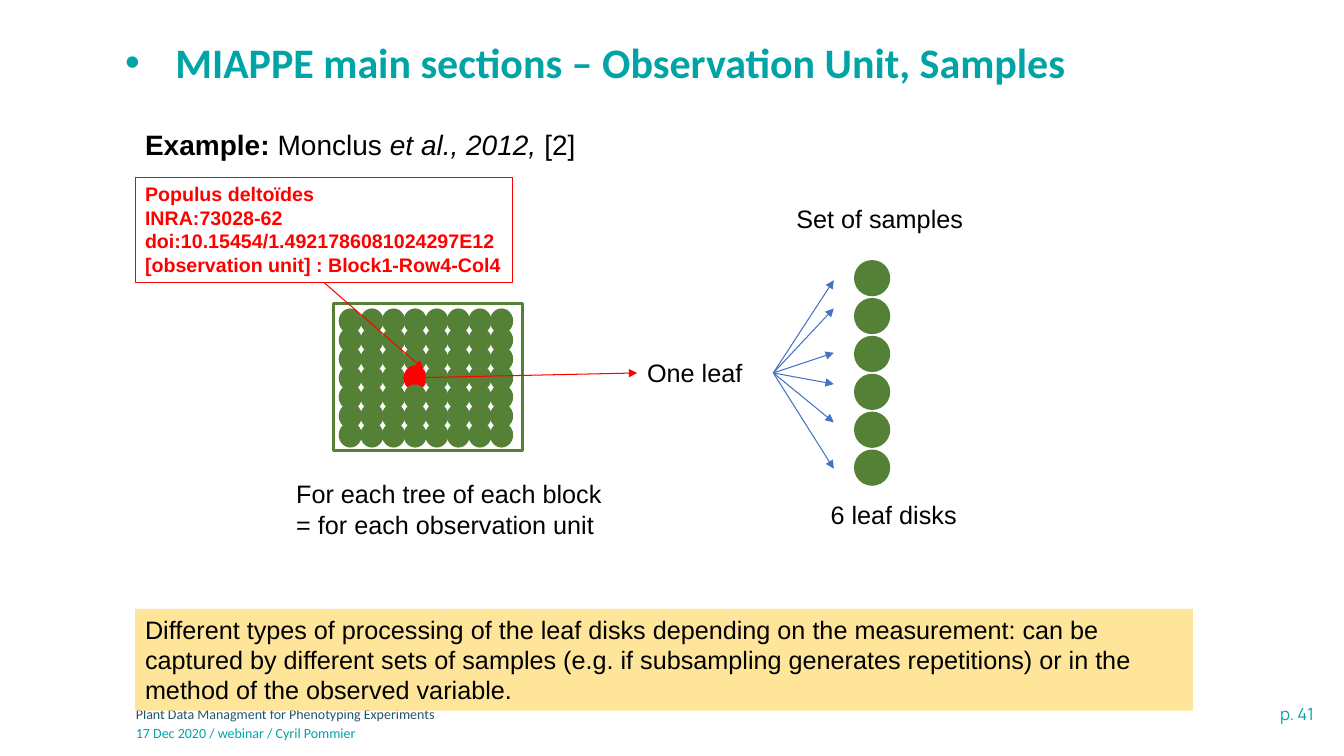
from pptx import Presentation
from pptx.dml.color import RGBColor
from pptx.enum.shapes import MSO_CONNECTOR, MSO_SHAPE
from pptx.enum.text import MSO_ANCHOR, MSO_AUTO_SIZE, PP_ALIGN
from pptx.oxml.ns import qn
from pptx.util import Inches, Pt
from lxml import etree

RECT, OVAL = MSO_SHAPE.RECTANGLE, MSO_SHAPE.OVAL
STRAIGHT = MSO_CONNECTOR.STRAIGHT
LEFT, RIGHT = PP_ALIGN.LEFT, PP_ALIGN.RIGHT
MIDDLE = MSO_ANCHOR.MIDDLE
TOP = MSO_ANCHOR.TOP
NO_FIT = MSO_AUTO_SIZE.NONE

TEAL, DARK, GREEN = "00A3A6", "275662", "548135"
RED, BLUE, SAND, BLACK = "FF0000", "4472C4", "FEE599", "000000"

TITLE = "MIAPPE main sections – Observation Unit, Samples"
FOOTERS = [
    ("p. 41", (10.85, 6.93, 2.28, 0.3), 12, "Manrope", TEAL, RIGHT),
    ("Plant Data Managment for Phenotyping Experiments",
     (1.25, 6.95, 7.34, 0.28), 10, "Calibri", DARK, LEFT),
    ("17 Dec 2020 / webinar / Cyril Pommier",
     (1.25, 7.14, 7.34, 0.28), 10, "Calibri", TEAL, LEFT),
]
EXAMPLE = [("Example: ", True, False), ("Monclus ", False, False),
           ("et al., 2012, ", False, True), ("[2]", False, False)]
LABELS = [
    (["For each tree of each block", "= for each observation unit"],
     (2.84, 4.7, 3.26, 0.71)),
    (["6 leaf disks"], (8.14, 4.9, 1.46, 0.4)),
    (["Set of samples"], (7.8, 1.97, 1.87, 0.4)),
]
LEAF = ["One leaf"]
PROCESSING = [
    "Different types of processing of the leaf disks depending on the "
    "measurement: can be captured by different sets of samples (e.g. if "
    "subsampling generates repetitions) or in the method of the observed variable."
]
UNIT = ["Populus deltoïdes", "INRA:73028-62",
        "doi:10.15454/1.4921786081024297E12",
        "[observation unit] : Block1-Row4-Col4"]

BLOCK = (3.31, 3.01, 1.87, 1.46)
ROWS, COLS = 7, 8
TREE_X, TREE_Y, TREE_W, TREE_H = 3.36, 3.06, 0.23, 0.25
COL_STEP, ROW_STEP = 1.5 / (COLS - 1), 1.13 / (ROWS - 1)
SAMPLED = (3, 3)
DISKS, DISK_X, DISK_Y, DISK_D = 6, 8.47, 2.58, 0.36
DISK_STEP = 1.88 / (DISKS - 1)
ARROW_X, ARROW_YS = 8.27, [2.78, 3.06, 3.5, 3.81, 4.19, 4.65]


def color(value):
    return RGBColor.from_string(value)


def write(sp, lines, size, font="Arial", fill=BLACK, bold=False, align=LEFT):
    tf = sp.text_frame
    tf.word_wrap = True
    tf.vertical_anchor = TOP
    for i, line in enumerate(lines):
        p = tf.paragraphs[0] if i == 0 else tf.add_paragraph()
        p.alignment = align
        runs = [(line, bold, False)] if isinstance(line, str) else line
        for text, strong, italic in runs:
            r = p.add_run()
            r.text = text
            r.font.name, r.font.size = font, Pt(size)
            r.font.bold, r.font.italic = strong, italic
            r.font.color.rgb = color(fill)


def label(s, lines, box, size=18, **style):
    sp = s.shapes.add_textbox(*map(Inches, box))
    write(sp, lines, size, **style)
    return sp


def shape(shapes, kind, box, fill=None, line=None, width=0.75):
    sp = shapes.add_shape(kind, *map(Inches, box))
    sp.shadow.inherit = False
    if fill:
        sp.fill.solid()
        sp.fill.fore_color.rgb = color(fill)
    else:
        sp.fill.background()
    if line:
        sp.line.color.rgb = color(line)
        sp.line.width = Pt(width)
    else:
        sp.line.fill.background()
    return sp


def arrow(s, start, end, line):
    cn = s.shapes.add_connector(STRAIGHT, *map(Inches, (*start, *end)))
    cn.line.color.rgb = color(line)
    cn.line.width = Pt(0.75)
    etree.SubElement(cn.line._get_or_add_ln(), qn("a:tailEnd"), type="triangle")
    etree.SubElement(cn._element.spPr, qn("a:effectLst"))
    return cn


def add_title(s):
    sp = s.shapes.title
    sp.left, sp.top, sp.width, sp.height = map(Inches, (1.24, 0.16, 11.17, 0.97))
    write(sp, [TITLE], 30, "Calibri", TEAL, True)
    tf = sp.text_frame
    tf.auto_size = NO_FIT
    tf.vertical_anchor = MIDDLE
    tf.margin_left = 0
    p = tf.paragraphs[0]
    p.line_spacing = 0.9
    pPr = p._p.get_or_add_pPr()
    pPr.set("marL", str(Inches(0.5)))
    pPr.set("indent", str(Inches(-0.5)))
    etree.SubElement(pPr, qn("a:buFont"), typeface="Arial")
    etree.SubElement(pPr, qn("a:buChar"), char="•")


def add_block(s):
    group = s.shapes.add_group_shape()
    shape(group.shapes, RECT, BLOCK, line=GREEN, width=2.25)
    for row in range(ROWS):
        for col in range(COLS):
            box = (TREE_X + col * COL_STEP, TREE_Y + row * ROW_STEP, TREE_W, TREE_H)
            shape(group.shapes, OVAL, box, RED if (row, col) == SAMPLED else GREEN)


def add_samples(s):
    leaf = label(s, LEAF, (6.32, 3.5, 1.35, 0.4))
    arrow(s, (4, 3.75), (6.32, 3.7), RED).end_connect(leaf, 1)
    for y in ARROW_YS:
        arrow(s, (7.67, 3.7), (ARROW_X, y), BLUE).begin_connect(leaf, 3)
    for i in range(DISKS):
        shape(s.shapes, OVAL, (DISK_X, DISK_Y + i * DISK_STEP, DISK_D, DISK_D), GREEN)


def main():
    prs = Presentation()
    prs.slide_width, prs.slide_height = Inches(13.33), Inches(7.5)
    s = prs.slides.add_slide(prs.slide_layouts[5])
    add_title(s)
    for text, box, size, font, fill, align in FOOTERS:
        label(s, [text], box, size, font=font, fill=fill, align=align)
    add_block(s)
    label(s, [EXAMPLE], (1.34, 1.22, 9.74, 0.44), 20)
    add_samples(s)
    for lines, box in LABELS:
        label(s, lines, box)
    note = shape(s.shapes, RECT, (1.34, 6.04, 10.49, 1.01), SAND)
    write(note, PROCESSING, 18)
    unit = shape(s.shapes, RECT, (1.34, 1.76, 3.74, 1.04), line=RED)
    write(unit, UNIT, 14, fill=RED, bold=True)
    arrow(s, (3.21, 2.8), (4.2, 3.66), RED).begin_connect(unit, 2)
    prs.save("out.pptx")


if __name__ == "__main__":
    main()
